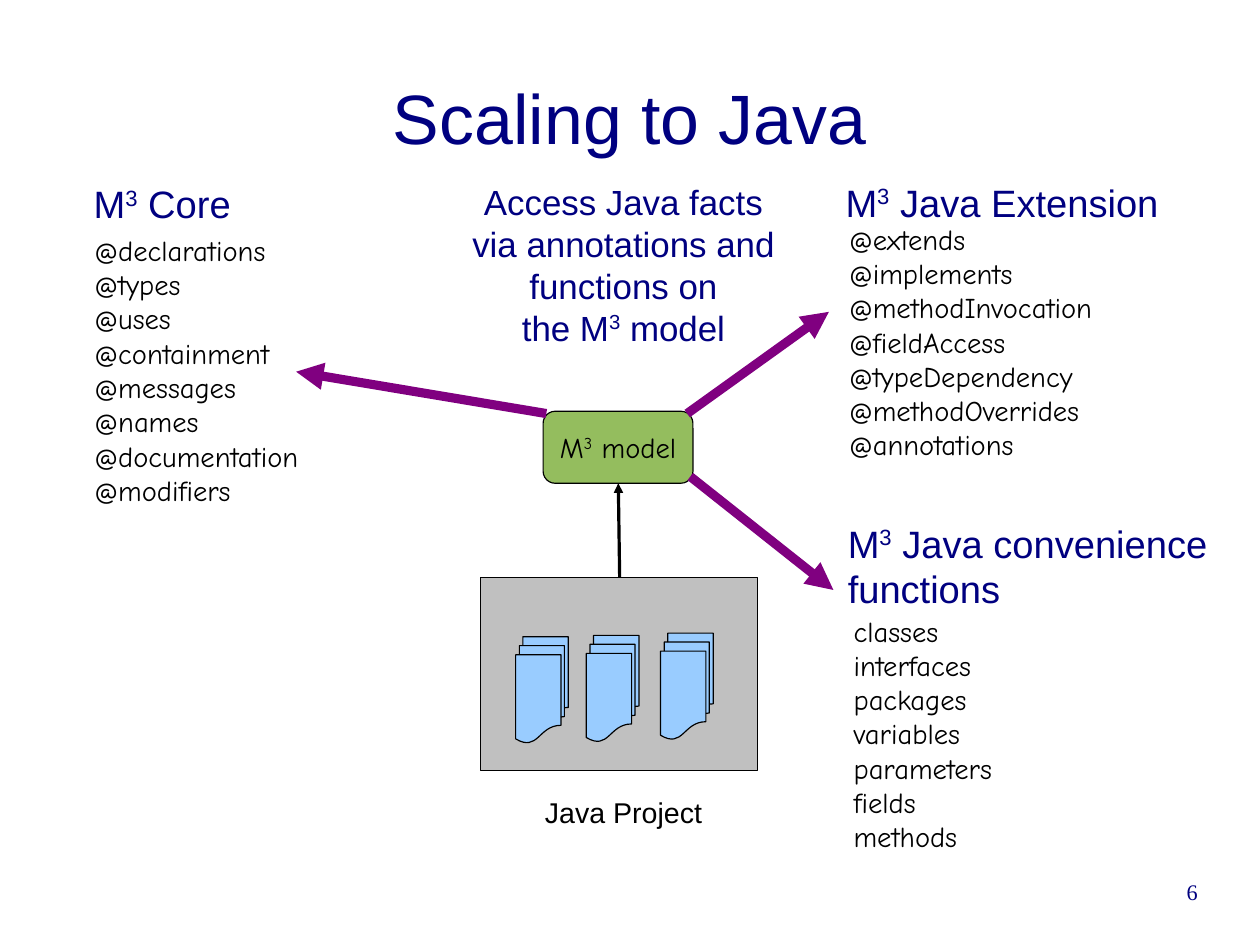
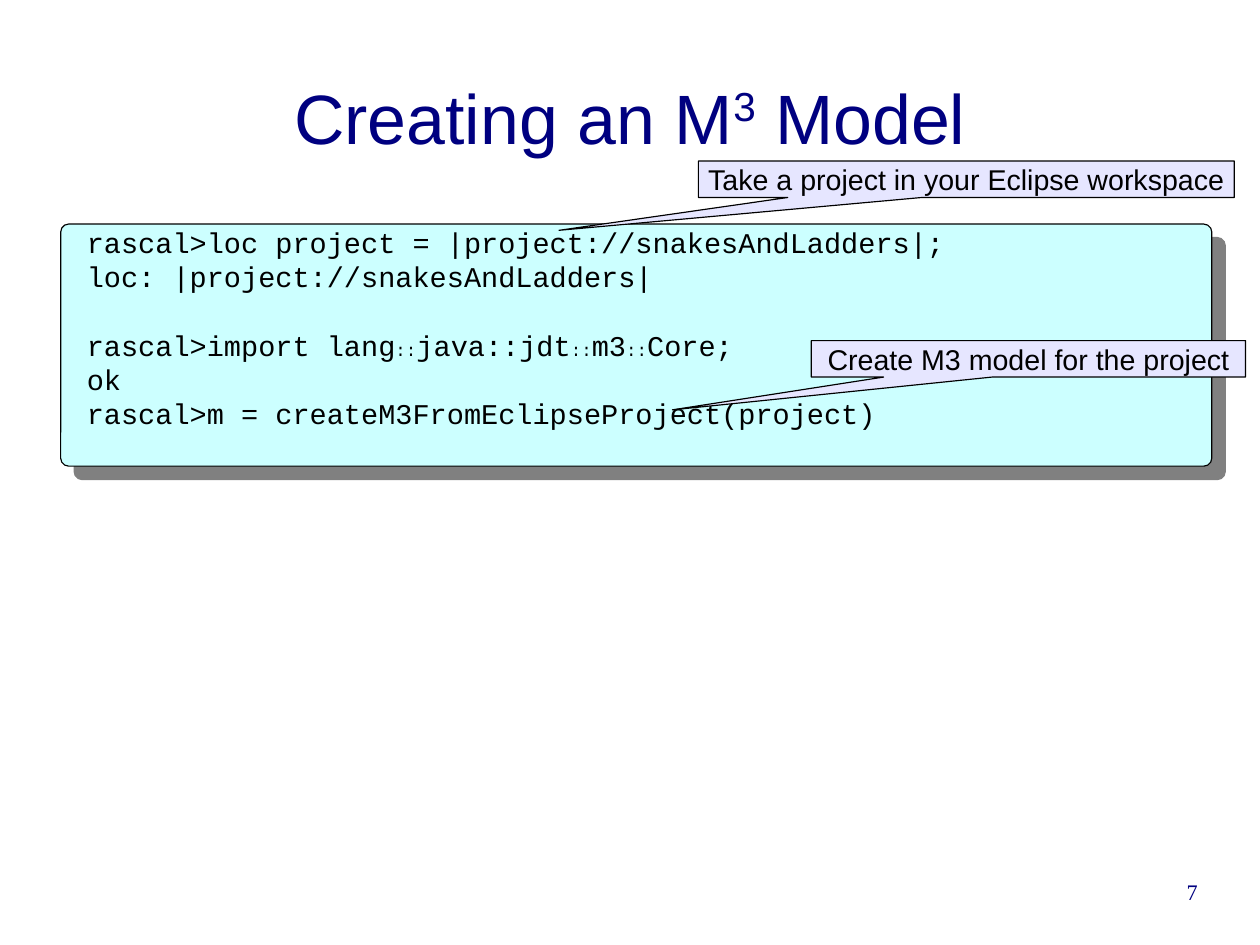
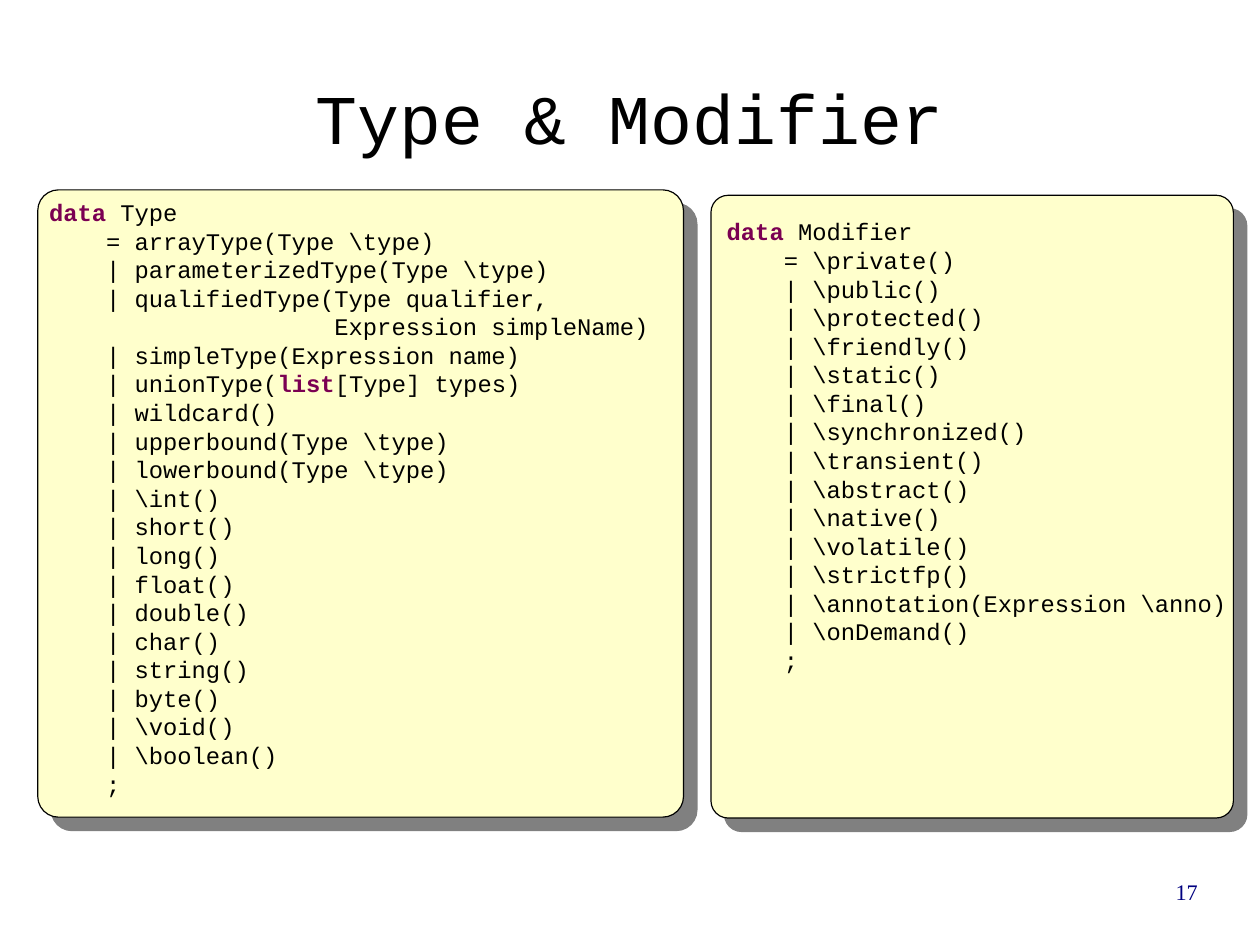
"""Build three slides on M³ models for Java."""
import pptx
import pptx.dml.color
import pptx.enum.shapes
import pptx.enum.text
import pptx.oxml
import pptx.oxml.ns
import pptx.util
from lxml import etree

Cm, Pt = pptx.util.Cm, pptx.util.Pt
RGB = pptx.dml.color.RGBColor
SHAPE = pptx.enum.shapes.MSO_SHAPE
ALIGN = pptx.enum.text.PP_ALIGN
MIDDLE = pptx.enum.text.MSO_ANCHOR.MIDDLE
qn = pptx.oxml.ns.qn

NAVY, BLACK, PURPLE = RGB(0, 0, 0x80), RGB(0, 0, 0), RGB(0x80, 0, 0x80)
KEYWORD, SHADOW = RGB(0x7B, 0, 0x52), RGB(0x80, 0x80, 0x80)
GREY, GREEN, SKY = RGB(0xC0, 0xC0, 0xC0), RGB(0x94, 0xBD, 0x5E), RGB(0x99, 0xCC, 0xFF)
CYAN, CREAM, LILAC = RGB(0xCC, 0xFF, 0xFF), RGB(0xFF, 0xFF, 0xCC), RGB(0xE6, 0xE6, 0xFF)

TITLE = ("Arial", 44, NAVY)
CODE_TITLE = ("Courier New", 44, BLACK)
HEADING = ("Arial", 24, NAVY)
REMARK = ("Arial", 22, NAVY)
LABEL = ("Arial", 18, BLACK)
HAND = ("Comic Neue", 18, BLACK)
CONSOLE = ("Courier New", 18, BLACK)
LISTING = ("Courier New", 15, BLACK)
NUMBER = ("Times New Roman", 14, NAVY)

LINE_FACTOR = 1.2
CUBED = ("3", "sup")
COLONS = ("::", "small")

GROUPS = [
    ((1.83, 3.89, 3.66, 1.4), [["M", CUBED, " Core"]],
     (1.85, 5.05, 5.38, 7.34),
     ["@declarations", "@types", "@uses", "@containment", "@messages", "@names",
      "@documentation", "@modifiers"]),
    ((18.54, 3.86, 8.2, 1.4), [["M", CUBED, " Java Extension"]],
     (18.62, 4.8, 6.8, 6.45),
     ["@extends", "@implements", "@methodInvocation", "@fieldAccess",
      "@typeDependency", "@methodOverrides", "@annotations"]),
    ((18.59, 11.43, 9.2, 2.57), [["M", CUBED, " Java convenience"], "functions"],
     (18.72, 13.51, 4.2, 6.45),
     ["classes", "interfaces", "packages", "variables", "parameters", "fields",
      "methods"]),
]
FACTS = ["Access Java facts", "via annotations and", "functions on",
         ["the M", CUBED, " model"]]
DOCUMENTS = [(11.46, 14.15), (13.03, 14.12), (14.68, 14.07)]
ARROWS = [
    ((13.77, 12.83), (13.74, 10.74), BLACK, 0),
    ((12.14, 9.19), (6.58, 8.26), PURPLE, 5.75),
    ((15.27, 9.19), (18.42, 6.93), PURPLE, 5.75),
    ((15.34, 10.59), (18.52, 13.11), PURPLE, 5.75),
]

SESSION = [
    ["rascal>loc project = |project://snakesAndLadders|;",
     "loc: |project://snakesAndLadders|"],
    [["rascal>import lang", COLONS, "java::jdt", COLONS, "m3", COLONS, "Core;"],
     "ok", "rascal>m = createM3FromEclipseProject(project)"],
]
CALLOUTS = [
    ("Create M3 model for the project", (18.03, 7.57, 9.65, 0.81), (-0.82, 1.4)),
    ("Take a project in your Eclipse workspace", (15.52, 3.58, 11.91, 0.81), (-0.76, 1.4)),
]

TYPES = [
    "arrayType(Type \\type)", "parameterizedType(Type \\type)",
    "qualifiedType(Type qualifier,", "simpleType(Expression name)",
    ["unionType(", ("list", "key"), "[Type] types)"],
    "wildcard()", "upperbound(Type \\type)", "lowerbound(Type \\type)", "\\int()",
    "short()", "long()", "float()", "double()", "char()", "string()", "byte()",
    "\\void()", "\\boolean()",
]
CONTINUATIONS = {"qualifiedType(Type qualifier,": "                    Expression simpleName)"}
MODIFIERS = [
    "\\private()", "\\public()", "\\protected()", "\\friendly()", "\\static()",
    "\\final()", "\\synchronized()", "\\transient()", "\\abstract()", "\\native()",
    "\\volatile()", "\\strictfp()", "\\annotation(Expression \\anno)", "\\onDemand()",
]
DATA_TYPES = [
    ("Type", TYPES, (0.84, 4.22, 14.35, 13.94), (0.84, 4.27, 14.35, 14.1)),
    ("Modifier", MODIFIERS, (15.8, 4.34, 11.61, 13.84), (15.9, 4.7, 12, 10.8)),
]


def write(p, parts, style):
    """Add runs to a paragraph; a part is text or a (text, variant) pair."""
    name, size, color = style
    for part in [parts] if isinstance(parts, str) else parts:
        text, variant = (part, None) if isinstance(part, str) else part
        r = p.add_run()
        r.text = text
        r.font.name = name
        r.font.size = Pt(11 if variant == "small" else size)
        r.font.color.rgb = KEYWORD if variant == "key" else color
        r.font.bold = variant == "key"
        if variant == "sup":
            r.font._element.set("baseline", "33000")


def fill_text(tf, lines, style, align=ALIGN.LEFT):
    """Write one paragraph per line."""
    for i, line in enumerate(lines):
        p = tf.paragraphs[0] if i == 0 else tf.add_paragraph()
        p.alignment = align
        p.line_spacing = Pt(LINE_FACTOR * style[1])
        write(p, line, style)


def add_text(slide, box, lines, style, align=ALIGN.LEFT):
    """Add a wrapping text box."""
    tf = slide.shapes.add_textbox(*map(Cm, box)).text_frame
    tf.word_wrap = True
    fill_text(tf, lines, style, align)
    return tf


def add_shape(slide, kind, box, fill, width=0, adjustments=()):
    """Add an outlined preset shape."""
    sp = slide.shapes.add_shape(kind, *map(Cm, box))
    sp.shadow.inherit = False
    sp.fill.solid()
    sp.fill.fore_color.rgb = fill
    sp.line.color.rgb = BLACK
    sp.line.width = Pt(width)
    for i, value in enumerate(adjustments):
        sp.adjustments[i] = value
    return sp


def add_label_shape(slide, kind, box, fill, line, style, adjustments):
    """Add a shape with one centred line of text."""
    sp = add_shape(slide, kind, box, fill, adjustments=adjustments)
    tf = sp.text_frame
    tf.word_wrap = False
    tf.vertical_anchor = MIDDLE
    fill_text(tf, [line], style, ALIGN.CENTER)


def add_panel(slide, box, fill):
    """Add a rounded code panel with a hard shadow."""
    sp = add_shape(slide, SHAPE.ROUNDED_RECTANGLE, box, fill, 0.75, [0.033])
    effects = sp._element.spPr.find(qn("a:effectLst"))
    shadow = etree.SubElement(effects, qn("a:outerShdw"), blurRad="0",
                              dist=str(Pt(12)), dir="2700000", algn="tl", rotWithShape="0")
    etree.SubElement(shadow, qn("a:srgbClr"), val=str(SHADOW))


def add_arrow(slide, start, end, color, width):
    """Add a straight arrow."""
    line = slide.shapes.add_connector(pptx.enum.shapes.MSO_CONNECTOR.STRAIGHT,
                                      *map(Cm, start + end))
    line.line.color.rgb = color
    line.line.width = Pt(width)
    etree.SubElement(line.line._get_or_add_ln(), qn("a:tailEnd"), type="triangle")
    etree.SubElement(line._element.spPr, qn("a:effectLst"))


def add_slide(prs, title, number, style=TITLE):
    """Add a slide with its title and number."""
    slide = prs.slides.add_slide(prs.slide_layouts[5])
    sp = slide.shapes.title
    sp.left, sp.top, sp.width, sp.height = map(Cm, (1.4, 0.84, 25.2, 3.5))
    tf = sp.text_frame
    tf.vertical_anchor = MIDDLE
    tf.paragraphs[0].alignment = ALIGN.CENTER
    write(tf.paragraphs[0], title, style)
    footer = add_text(slide, (20.09, 19.51, 6.53, 1.45), [str(number)], NUMBER, ALIGN.RIGHT)
    for frame in (tf, footer):
        frame.margin_left = frame.margin_top = frame.margin_right = frame.margin_bottom = 0
    return slide


def build_scaling(prs):
    """Show the model between the project and its facts."""
    slide = add_slide(prs, "Scaling to Java", 6)
    add_shape(slide, SHAPE.RECTANGLE, (10.67, 12.83, 6.17, 4.29), GREY)
    add_text(slide, (11.86, 17.53, 4.4, 1.12), ["Java Project"], LABEL)
    for left, top in DOCUMENTS:
        add_shape(slide, SHAPE.FLOWCHART_MULTIDOCUMENT, (left, top, 1.17, 2.36), SKY)
    for heading_box, heading, list_box, names in GROUPS:
        add_text(slide, list_box, names, HAND)
        add_text(slide, heading_box, heading, HEADING)
    add_label_shape(slide, SHAPE.ROUNDED_RECTANGLE, (12.07, 9.14, 3.33, 1.6), GREEN,
                    ["M", CUBED, " model"], HAND, [0.167])
    add_text(slide, (9.93, 3.89, 7.85, 4.5), FACTS, REMARK, ALIGN.CENTER)
    for arrow in ARROWS:
        add_arrow(slide, *arrow)


def build_session(prs):
    """Show the console session with its callouts."""
    slide = add_slide(prs, ["Creating an M", CUBED, " Model"], 7)
    add_panel(slide, (1.35, 4.98, 25.58, 5.38), CYAN)
    first, second = SESSION
    tf = add_text(slide, (1.68, 4.87, 25, 5.4), first + second, CONSOLE)
    tf.paragraphs[len(first)].space_before = Pt(LINE_FACTOR * CONSOLE[1])
    for text, box, pointer in CALLOUTS:
        add_label_shape(slide, SHAPE.RECTANGULAR_CALLOUT, box, LILAC, text, LABEL, pointer)


def build_data_types(prs):
    """Show the two data type definitions."""
    slide = add_slide(prs, "Type & Modifier", 17, CODE_TITLE)
    for name, alternatives, panel_box, text_box in DATA_TYPES:
        lines = [[("data", "key"), f" {name}"]]
        for i, item in enumerate(alternatives):
            parts = [item] if isinstance(item, str) else item
            lines.append(["    | " if i else "    = ", *parts])
            if parts[0] in CONTINUATIONS:
                lines.append(CONTINUATIONS[parts[0]])
        lines.append("    ;")
        add_panel(slide, panel_box, CREAM)
        add_text(slide, text_box, lines, LISTING)


def main():
    """Build and save the presentation."""
    prs = pptx.Presentation()
    prs.slide_width, prs.slide_height = Cm(28), Cm(21)
    build_scaling(prs)
    build_session(prs)
    build_data_types(prs)
    prs.save("out.pptx")


if __name__ == "__main__":
    main()
